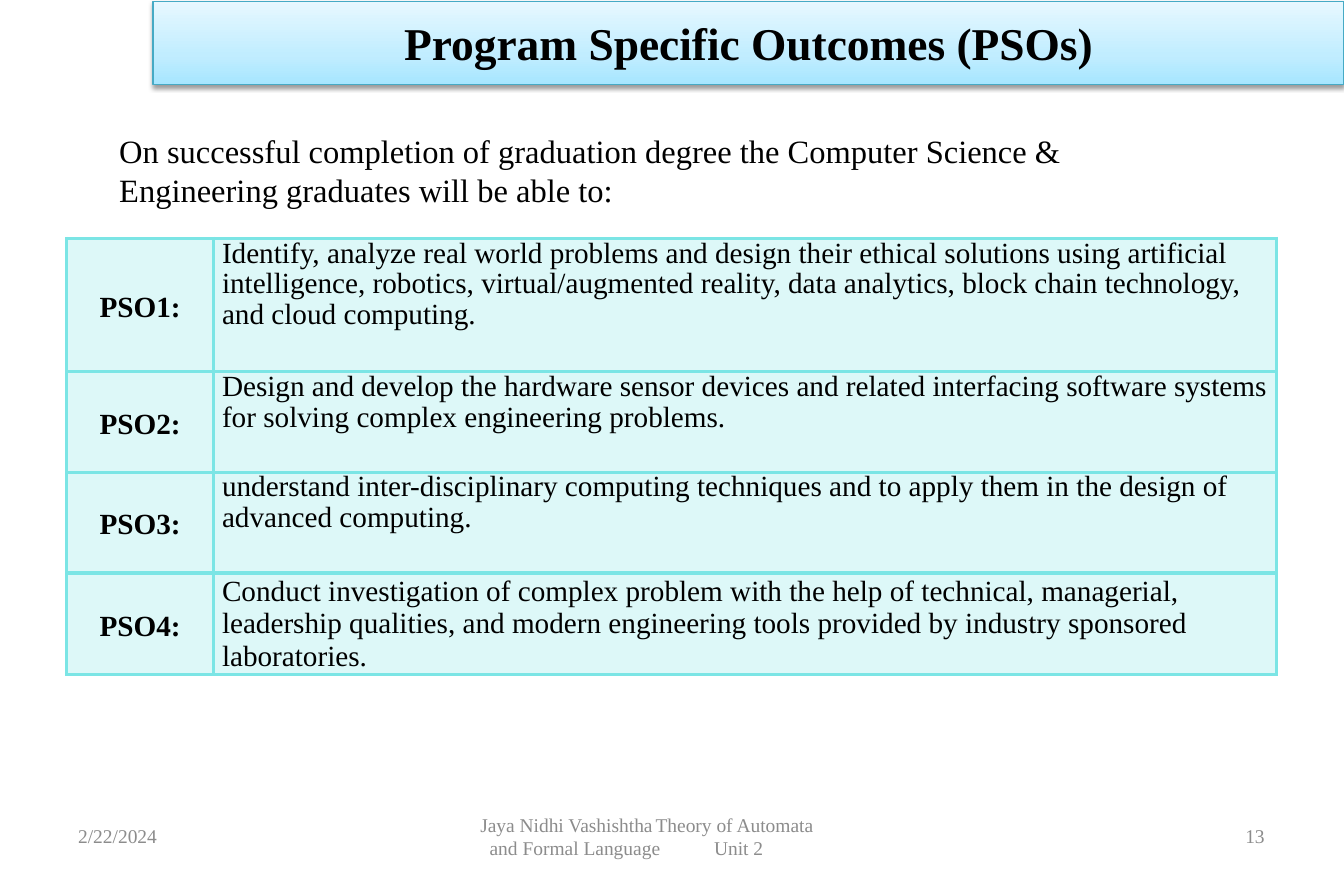
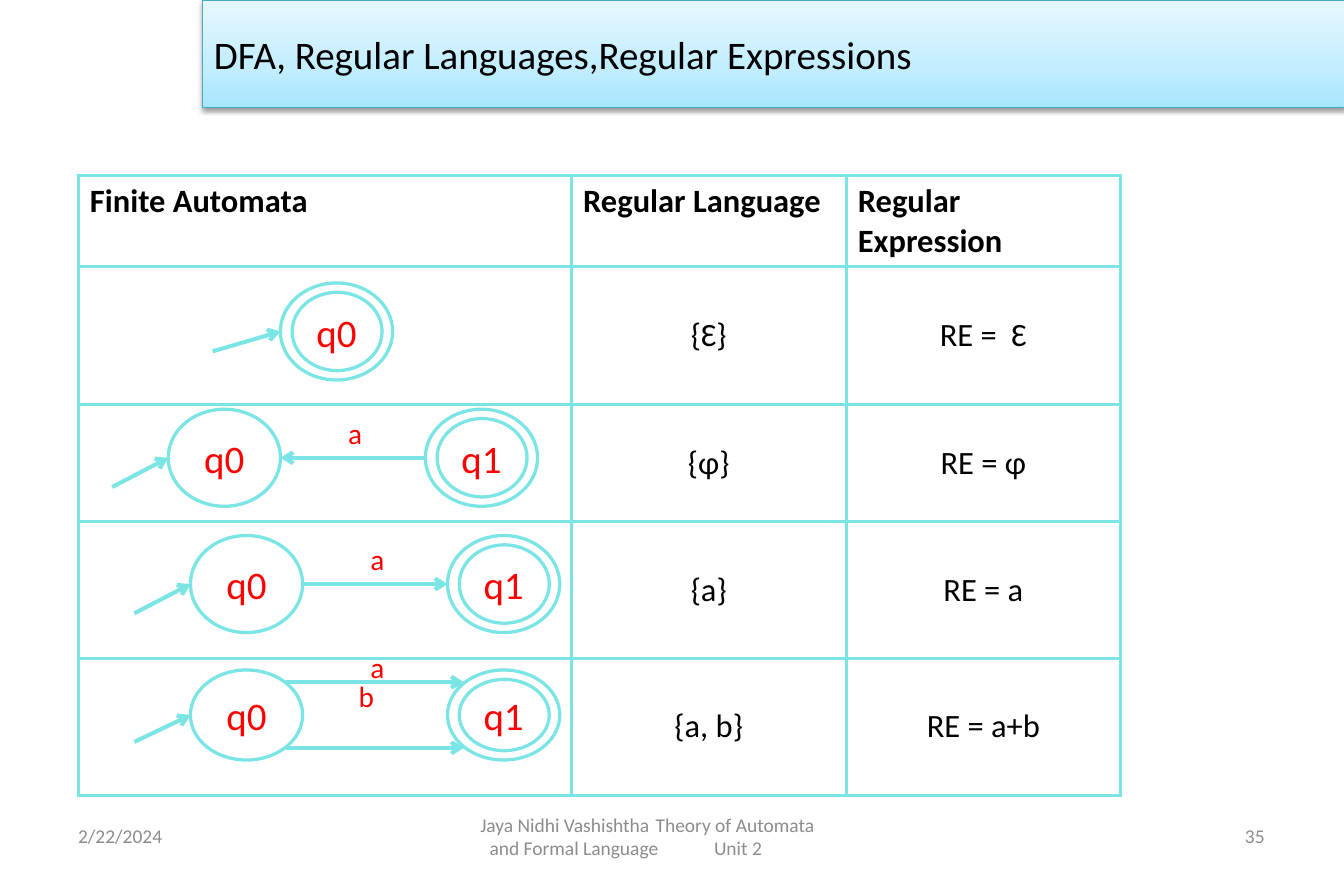
from pptx import Presentation
from pptx.dml.color import RGBColor
from pptx.enum.shapes import MSO_CONNECTOR, MSO_SHAPE
from pptx.enum.text import MSO_ANCHOR, MSO_AUTO_SIZE, PP_ALIGN
from pptx.oxml import parse_xml
from pptx.oxml.ns import nsdecls, qn
from pptx.util import Inches, Pt

LEFT, CENTER, RIGHT, JUSTIFY = PP_ALIGN.LEFT, PP_ALIGN.CENTER, PP_ALIGN.RIGHT, PP_ALIGN.JUSTIFY
TOP, MIDDLE = MSO_ANCHOR.TOP, MSO_ANCHOR.MIDDLE
BLACK = RGBColor(0x00, 0x00, 0x00)
WHITE = RGBColor(0xFF, 0xFF, 0xFF)
GRAY = RGBColor(0x8C, 0x8C, 0x8C)
RED = RGBColor(0xFF, 0x00, 0x00)
AQUA = RGBColor(0x7B, 0xE5, 0xE5)
BAND_LINE = RGBColor(0x46, 0xAA, 0xC5)
BAND_STOPS = [(0, RGBColor(0xA7, 0xE6, 0xFF)), (35, RGBColor(0xC1, 0xED, 0xFF)),
              (100, RGBColor(0xE7, 0xF8, 0xFF))]
TIMES, CALIBRI = "Times New Roman", "Calibri"

DATE = "2/22/2024"
FOOTER = [("Jaya Nidhi Vashishtha\tTheory of Automata", 0),
          ("and Formal Language\tUnit 2", 0.08)]
FOOTER_TAB = 1.9

INTRO = ["On successful completion of graduation degree the Computer Science &",
         "Engineering graduates will be able to:"]
OUTCOMES = [
    ("PSO1:", "Identify, analyze real world problems and design their ethical solutions using "
              "artificial intelligence, robotics, virtual/augmented reality, data analytics, "
              "block chain technology, and cloud computing."),
    ("PSO2:", "Design and develop the hardware sensor devices and related interfacing software "
              "systems for solving complex engineering problems."),
    ("PSO3:", "understand inter-disciplinary computing techniques and to apply them in the design "
              "of advanced computing."),
    ("PSO4:", "Conduct investigation of complex problem with the help of technical, managerial, "
              "leadership qualities, and modern engineering tools provided by industry sponsored "
              "laboratories."),
]
OUTCOME_ROWS = [1.14, 0.86, 0.86, 0.87]

LANGUAGES = [
    ("Finite Automata", "Regular Language", "Regular Expression"),
    ("", "{Ɛ}", "RE =  Ɛ"),
    ("", "{φ}", "RE = φ"),
    ("", "{a}", "RE = a"),
    ("", "{a, b}", "RE = a+b"),
]
LANGUAGE_ROWS = [0.77, 1.18, 1, 1.17, 1.17]

STATE_W, STATE_GAP = 0.96, 2.2
FORWARD = (STATE_W, STATE_GAP)
BACKWARD = (STATE_GAP, STATE_W)
AUTOMATA = [
    dict(x=2.4, y=2.42, h=0.83, states=["q0"], entry=(0.58, 0.17), moves=[], labels=[]),
    dict(x=1.44, y=3.5, h=0.83, states=["q0", "q1"], entry=(0.48, 0.25),
         moves=[(BACKWARD, 0)], labels=[("a", 1.44, 0)]),
    dict(x=1.63, y=4.58, h=0.83, states=["q0", "q1"], entry=(0.48, 0.25),
         moves=[(FORWARD, 0)], labels=[("a", 1.44, 0)]),
    dict(x=1.63, y=5.73, h=0.77, states=["q0", "q1"], entry=(0.48, 0.23),
         moves=[((0.82, 2.34), -0.28), ((0.82, 2.34), 0.28)],
         labels=[("a", 1.44, -0.23), ("b", 1.34, 0.02)]),
]


def write(p, text, font=CALIBRI, size=18, color=BLACK, bold=False, align=LEFT, spacing=1.0):
    p.alignment = align
    p.line_spacing = spacing
    p.space_before = Pt(0)
    r = p.add_run()
    r.text = text
    r.font.name, r.font.size, r.font.bold = font, Pt(size), bold
    r.font.color.rgb = color


def set_frame(tf, anchor=TOP):
    tf.word_wrap = True
    tf.auto_size = MSO_AUTO_SIZE.NONE
    tf.vertical_anchor = anchor


def place(sp, x, y, w, h):
    sp.left, sp.top, sp.width, sp.height = Inches(x), Inches(y), Inches(w), Inches(h)


def add_text(s, x, y, w, h, text, anchor=TOP, **fmt):
    tf = s.shapes.add_textbox(Inches(x), Inches(y), Inches(w), Inches(h)).text_frame
    set_frame(tf, anchor)
    write(tf.paragraphs[0], text, **fmt)
    return tf


def add_band(s, x, y, w, h, text, **fmt):
    sp = s.shapes.title
    place(sp, x, y, w, h)
    sp.fill.gradient()
    sp.fill.gradient_angle = 90
    stops = sp._element.spPr.find(qn("a:gradFill")).find(qn("a:gsLst"))
    for old in list(stops):
        stops.remove(old)
    for pos, color in BAND_STOPS:
        stops.append(parse_xml(f'<a:gs {nsdecls("a")} pos="{pos * 1000}">'
                               f'<a:srgbClr val="{color}"/></a:gs>'))
    sp.line.color.rgb = BAND_LINE
    sp.line.width = Pt(0.75)
    sp._element.spPr.append(parse_xml(
        f'<a:effectLst {nsdecls("a")}><a:outerShdw blurRad="{Pt(3.1)}" dist="{Pt(1.6)}" '
        'dir="5400000" rotWithShape="0"><a:srgbClr val="000000"><a:alpha val="38000"/>'
        '</a:srgbClr></a:outerShdw></a:effectLst>'))
    set_frame(sp.text_frame, MIDDLE)
    write(sp.text_frame.paragraphs[0], text, **fmt)


def add_footer(s, number, font):
    fmt = dict(font=font, size=12, color=GRAY)
    add_text(s, 0.57, 6.95, 2.68, 0.4, DATE, MIDDLE, **fmt)
    add_text(s, 8.24, 6.95, 2.68, 0.4, number, MIDDLE, align=RIGHT, **fmt)
    tf = s.shapes.add_textbox(Inches(3.93), Inches(6.95), Inches(3.64), Inches(0.4)).text_frame
    set_frame(tf, MIDDLE)
    tf.margin_left = Inches(0.18)
    for i, (line, indent) in enumerate(FOOTER):
        p = tf.paragraphs[0] if i == 0 else tf.add_paragraph()
        pPr = p._p.get_or_add_pPr()
        pPr.set("indent", str(Inches(indent)))
        pPr.append(parse_xml(f'<a:tabLst {nsdecls("a")}><a:tab pos="{Inches(FOOTER_TAB)}" '
                             'algn="l"/></a:tabLst>'))
        write(p, line, **fmt)


def add_grid(s, x, y, cols, rows, fill, alpha):
    table = s.shapes.add_table(len(rows), len(cols), Inches(x), Inches(y),
                               Inches(sum(cols)), Inches(sum(rows))).table
    table.first_row = table.horz_banding = False
    for column, w in zip(table.columns, cols):
        column.width = Inches(w)
    for row, h in zip(table.rows, rows):
        row.height = Inches(h)
    for cell in table.iter_cells():
        tcPr = cell._tc.get_or_add_tcPr()
        for side in ("lnL", "lnR", "lnT", "lnB"):
            tcPr.append(parse_xml(f'<a:{side} {nsdecls("a")} w="{Pt(2.25)}"><a:solidFill>'
                                  f'<a:srgbClr val="{AQUA}"/></a:solidFill></a:{side}>'))
        cell.fill.solid()
        cell.fill.fore_color.rgb = fill
        color = tcPr.find(qn("a:solidFill")).find(qn("a:srgbClr"))
        color.append(parse_xml(f'<a:alpha {nsdecls("a")} val="{alpha * 1000}"/>'))
    return table


def add_ellipse(s, x, y, w, h):
    sp = s.shapes.add_shape(MSO_SHAPE.OVAL, Inches(x), Inches(y), Inches(w), Inches(h))
    sp.shadow.inherit = False
    sp.fill.background()
    sp.line.color.rgb = AQUA
    sp.line.width = Pt(2)
    return sp


def add_state(s, x, y, h, name, final):
    if final:
        add_ellipse(s, x + 0.1, y + 0.08, STATE_W - 0.19, h - 0.16)
    tf = add_ellipse(s, x, y, STATE_W, h).text_frame
    set_frame(tf, MIDDLE)
    write(tf.paragraphs[0], name, size=24, color=RED, align=CENTER)


def add_arrow(s, x1, y1, x2, y2):
    cn = s.shapes.add_connector(MSO_CONNECTOR.STRAIGHT, Inches(x1), Inches(y1),
                                Inches(x2), Inches(y2))
    cn.line.color.rgb = AQUA
    cn.line.width = Pt(2.5)
    cn.line._get_or_add_ln().append(parse_xml(f'<a:tailEnd {nsdecls("a")} type="arrow"/>'))
    cn._element.spPr.append(parse_xml(f'<a:effectLst {nsdecls("a")}/>'))


def add_automaton(s, x, y, h, states, entry, moves, labels):
    mid = y + h / 2
    for i, name in enumerate(states):
        add_state(s, x + i * STATE_GAP, y, h, name, final=i == len(states) - 1)
    add_arrow(s, x - entry[0], mid + entry[1], x, mid)
    for (start, end), dy in moves:
        add_arrow(s, x + start, mid + dy, x + end, mid + dy)
    for text, dx, dy in labels:
        add_text(s, x + dx, y + dy, 0.67, 0.4, text, color=RED)


def build_outcomes(prs):
    s = prs.slides.add_slide(prs.slide_layouts[1])
    table = add_grid(s, 0.57, 2.04, [1.26, 9.09], OUTCOME_ROWS, AQUA, 25)
    for i, (code, outcome) in enumerate(OUTCOMES):
        last = i == len(OUTCOMES) - 1
        for cell in table.rows[i].cells:
            cell.margin_left = cell.margin_right = Inches(0.07)
            cell.margin_top = cell.margin_bottom = 0
        label, text = table.rows[i].cells
        label.vertical_anchor = MIDDLE
        text.vertical_anchor = MIDDLE if last else TOP
        write(label.text_frame.paragraphs[0], code, font=TIMES, bold=True, align=CENTER,
              spacing=1.15)
        write(text.text_frame.paragraphs[0], outcome, font=TIMES, spacing=1.0 if last else 0.95)
    add_footer(s, "13", TIMES)
    body = s.placeholders[1]
    place(body, 0.92, 1.07, 8.92, 0.77)
    tf = body.text_frame
    set_frame(tf)
    for i, line in enumerate(INTRO):
        p = tf.paragraphs[0] if i == 0 else tf.add_paragraph()
        pPr = p._p.get_or_add_pPr()
        pPr.set("marL", "0")
        pPr.set("indent", "0")
        pPr.append(parse_xml(f'<a:buNone {nsdecls("a")}/>'))
        write(p, line, font=TIMES, size=20, align=JUSTIFY)
    add_band(s, 1.31, 0.01, 10.19, 0.71, "Program Specific Outcomes (PSOs)",
             font=TIMES, size=28, bold=True, align=CENTER)


def build_languages(prs):
    s = prs.slides.add_slide(prs.slide_layouts[5])
    add_footer(s, "35", CALIBRI)
    add_band(s, 1.73, 0, 9.78, 0.92, "DFA, Regular Languages,Regular Expressions", size=24)
    table = add_grid(s, 0.67, 1.5, [4.22, 2.35, 2.35], LANGUAGE_ROWS, WHITE, 40)
    for i, row in enumerate(LANGUAGES):
        head = i == 0
        for cell, text in zip(table.rows[i].cells, row):
            cell.vertical_anchor = TOP if head else MIDDLE
            if text:
                write(cell.text_frame.paragraphs[0], text, size=20, bold=head,
                      align=LEFT if head else CENTER)
    for automaton in AUTOMATA:
        add_automaton(s, **automaton)


def main():
    prs = Presentation()
    prs.slide_width, prs.slide_height = Inches(11.5), Inches(7.5)
    build_outcomes(prs)
    build_languages(prs)
    prs.save("out.pptx")


if __name__ == "__main__":
    main()
